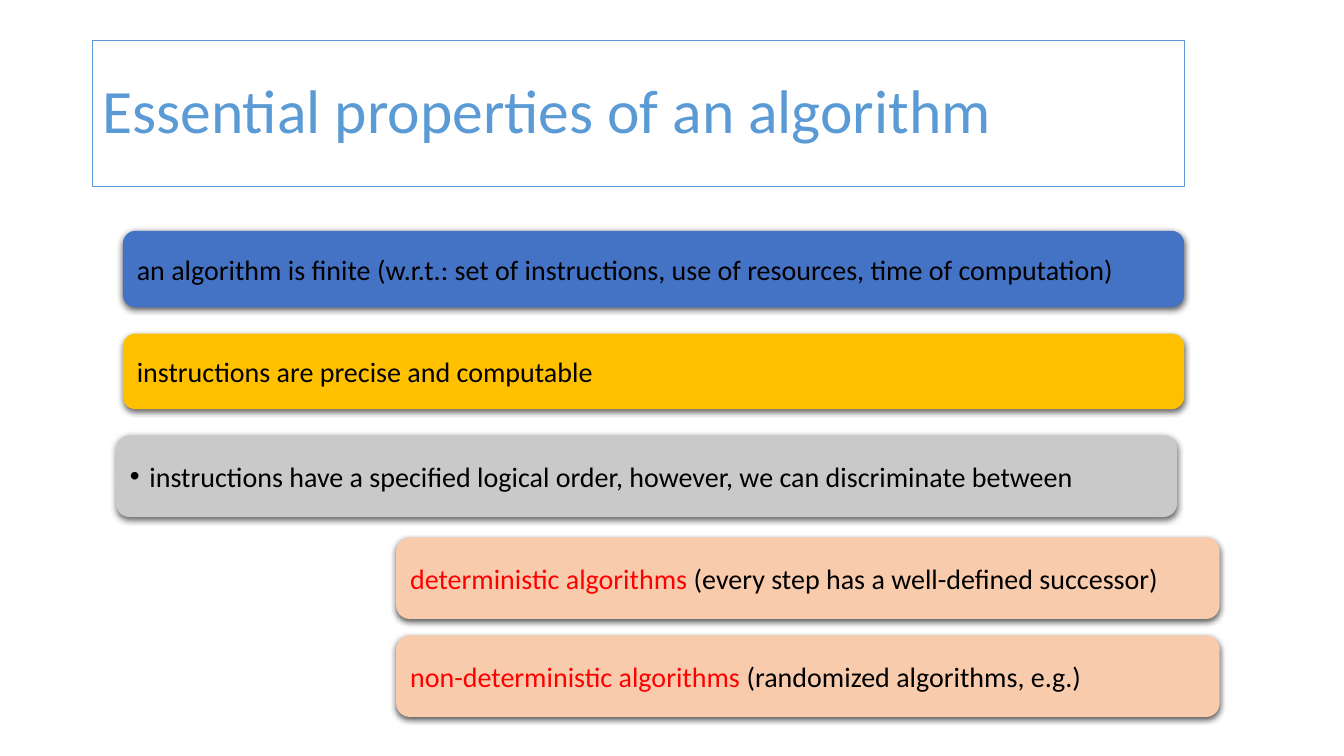
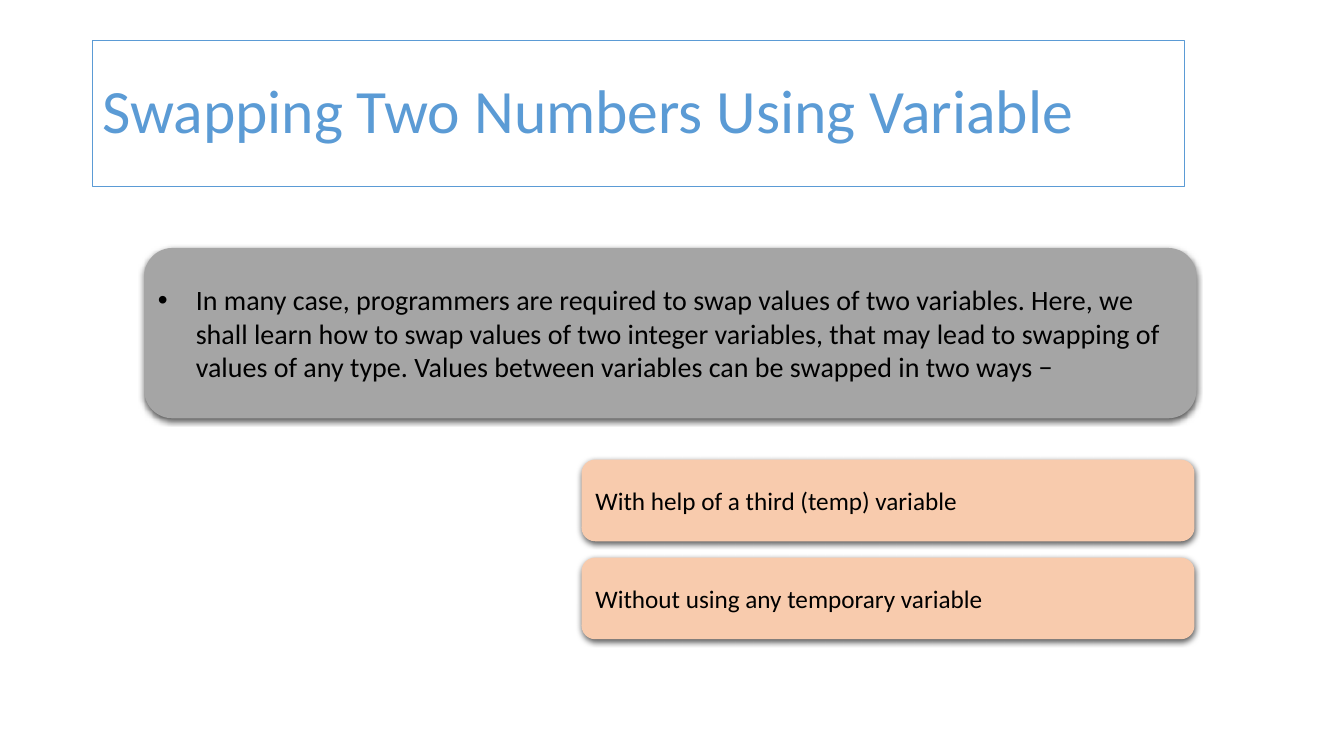
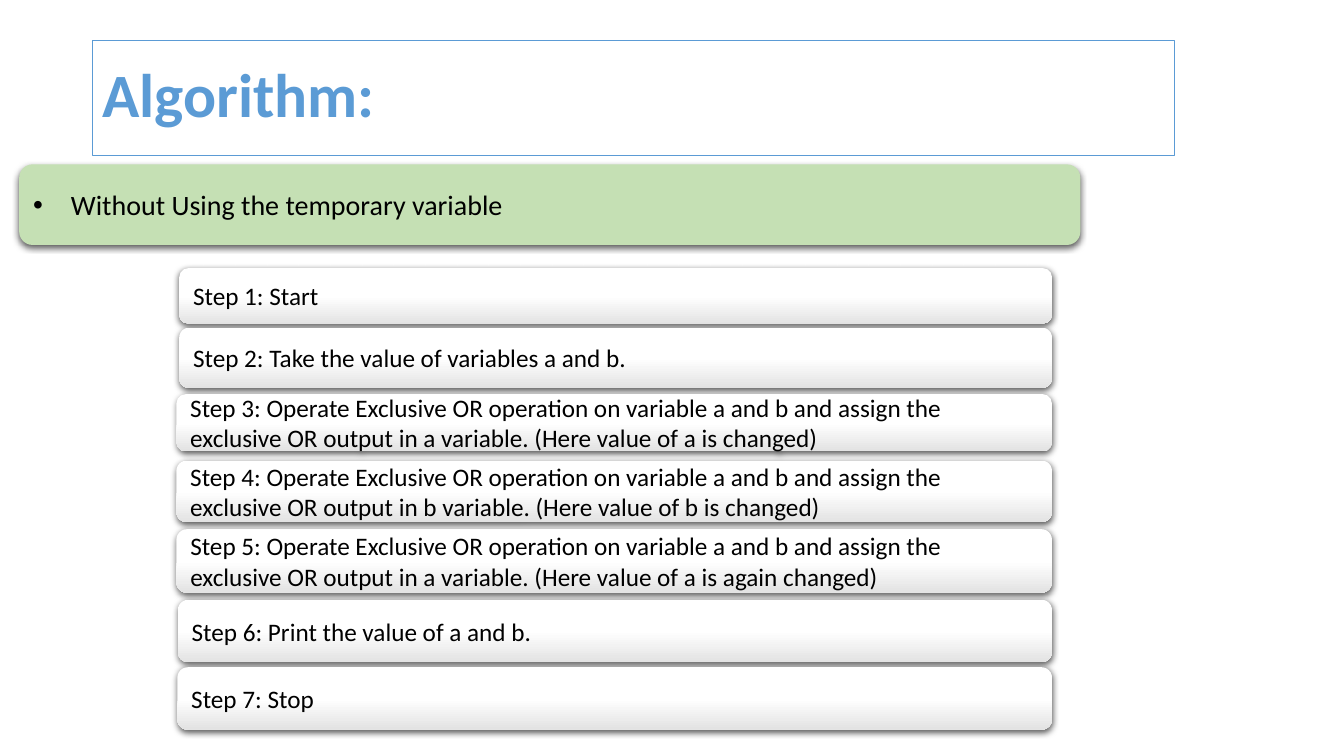
from dataclasses import dataclass

from lxml import etree
from pptx import Presentation
from pptx.dml.color import RGBColor
from pptx.enum import shapes, text
from pptx.oxml import ns
from pptx.util import Pt


@dataclass(frozen=True)
class Theme:
    font: str = "Calibri"
    head: int = 44
    body: int = 20
    small: int = 18
    accent: str = "5B9BD5"
    ink: str = "000000"
    key: str = "FF0000"
    blue: str = "4472C4"
    gold: str = "FFC000"
    silver: str = "C9C9C9"
    gray: str = "A5A5A5"
    peach: str = "F8CBAD"
    green: str = "C5E0B4"
    fade: tuple = ("FFFFFF", "E3E3E3")


T = Theme()
KIND = shapes.MSO_SHAPE
BAR = 758


def rgb(code):
    return RGBColor.from_string(code)


def add_xml(node, tag, **attrs):
    return etree.SubElement(node, ns.qn(tag), {k: str(v) for k, v in attrs.items()})


def block(slide, kind, box):
    shape = slide.shapes.add_shape(kind, *map(Pt, box))
    shape.shadow.inherit = False
    frame = shape.text_frame
    frame.word_wrap = True
    frame.vertical_anchor = text.MSO_ANCHOR.MIDDLE
    para = frame.paragraphs[0]
    para.alignment = text.PP_ALIGN.LEFT
    return shape, frame, para


def style(para, size, color):
    para.font.name = T.font
    para.font.size = Pt(size)
    para.font.color.rgb = rgb(color)


def title(slide, words, width=780, height=104.4, bold=False):
    shape, frame, para = block(slide, KIND.RECTANGLE, (66, 28.8, width, height))
    shape.fill.background()
    shape.line.color.rgb = rgb(T.accent)
    shape.line.width = Pt(0.75)
    para.text = words
    para.line_spacing = 0.9
    style(para, T.head, T.accent)
    para.font.bold = bold


def shade(shape):
    props = shape.element.spPr
    cast = add_xml(props.find(ns.qn("a:effectLst")), "a:outerShdw", blurRad=Pt(4.5),
                   dist=Pt(1.5), dir=5400000, algn="ctr", rotWithShape=0)
    tint = add_xml(cast, "a:srgbClr", val="000000")
    add_xml(tint, "a:alpha", val=63000)


def paint(fill, color):
    if isinstance(color, str):
        fill.solid()
        fill.fore_color.rgb = rgb(color)
        return
    fill.gradient()
    fill.gradient_angle = 270
    for stop, code, place in zip(fill.gradient_stops, color, (0.5, 1)):
        stop.color.rgb = rgb(code)
        stop.position = place


def bullet(para, indent):
    props = para._p.get_or_add_pPr()
    props.set("marL", str(Pt(indent)))
    props.set("indent", str(-Pt(indent)))
    add_xml(props, "a:buFont", typeface="Arial")
    add_xml(props, "a:buChar", char="•")


def card(slide, box, color, words, size=T.body, key="", indent=0):
    shape, frame, para = block(slide, KIND.ROUNDED_RECTANGLE, box)
    paint(shape.fill, color)
    shape.line.fill.background()
    shade(shape)
    frame.margin_left = frame.margin_right = Pt(10 - box[3] * 0.05)
    frame.margin_top = frame.margin_bottom = 0
    if indent:
        bullet(para, indent)
    if key:
        run = para.add_run()
        run.text = key
        run.font.color.rgb = rgb(T.key)
    para.add_run().text = words
    style(para, size, T.ink)


def stack(slide, box, items, size):
    left, top, width, height = box
    for row, (key, words) in enumerate(items):
        spot = (left, top + row * 70, width, height)
        card(slide, spot, T.peach, words, size, key)


def traits(slide):
    title(slide, "Essential properties of an algorithm")
    card(slide, (87.8, 164.9, BAR, 54.7), T.blue,
         "an algorithm is finite (w.r.t.: set of instructions, "
         "use of resources, time of computation)")
    card(slide, (87.8, 238.3, BAR, 54), T.gold, "instructions are precise and computable")
    card(slide, (82.8, 311, BAR, 58.3), T.silver,
         "instructions have a specified logical order, however, "
         "we can discriminate between", indent=14)
    stack(slide, (283, 383.8, 588.2, 58.3), [
        ("deterministic algorithms ", "(every step has a well-defined successor)"),
        ("non-deterministic algorithms ", "(randomized algorithms, e.g.)"),
    ], T.body)


def swap(slide):
    title(slide, "Swapping Two Numbers Using Variable")
    card(slide, (103, 177.1, 751.7, 121.7), T.gray,
         "In many case, programmers are required to swap values of two variables. "
         "Here, we shall learn how to swap values of two integer variables, that may "
         "lead to swapping of values of any type. Values between variables can be "
         "swapped in two ways −", indent=27)
    stack(slide, (415.4, 328.3, 437.8, 58.3), [
        ("", "With help of a third (temp) variable"),
        ("", "Without using any temporary variable"),
    ], T.small)


def steps(slide):
    title(slide, "Algorithm:", 773.3, 82, True)
    card(slide, (13.7, 117.4, BAR, 57.6), T.green,
         "Without Using the temporary variable", indent=27)
    xor = ("Operate Exclusive OR operation on variable a and b and assign the "
           "exclusive OR output in {0} variable. (Here value of {0} is {1}changed)")
    rows = [
        (128, 191.5, 39.6, "Start"),
        (128, 234, 43.2, "Take the value of variables a and b."),
        (126, 281.5, 41, xor.format("a", "")),
        (126, 329, 43.9, xor.format("b", "")),
        (126, 378, 45.4, xor.format("a", "again ")),
        (127, 428.4, 44.6, "Print the value of a and b."),
        (126.7, 476.6, 44.6, "Stop"),
    ]
    for count, (left, top, height, words) in enumerate(rows, 1):
        card(slide, (left, top, 751.5 - left, height), T.fade,
             f"Step {count}: {words}", T.small)


def main():
    deck = Presentation()
    deck.slide_width, deck.slide_height = Pt(960), Pt(540)
    for build in (traits, swap, steps):
        build(deck.slides.add_slide(deck.slide_layouts[6]))
    deck.save("out.pptx")


if __name__ == "__main__":
    main()
